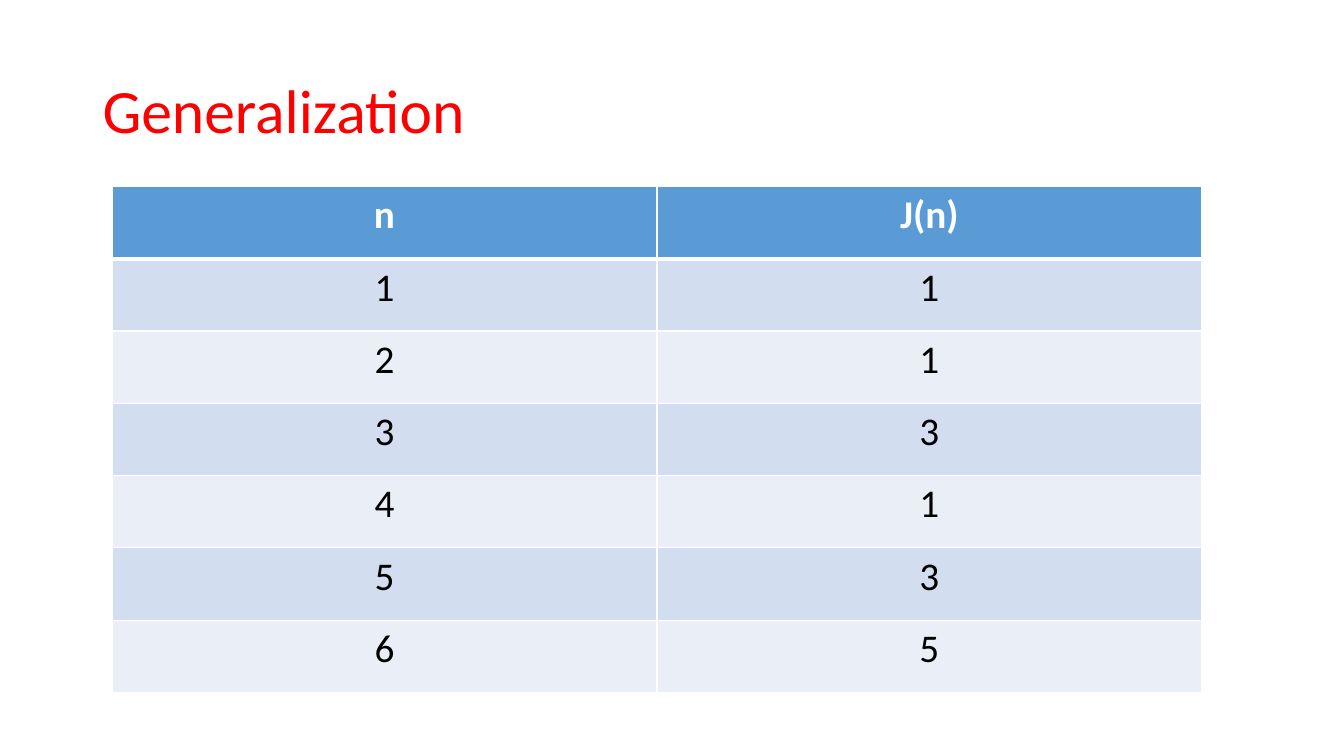
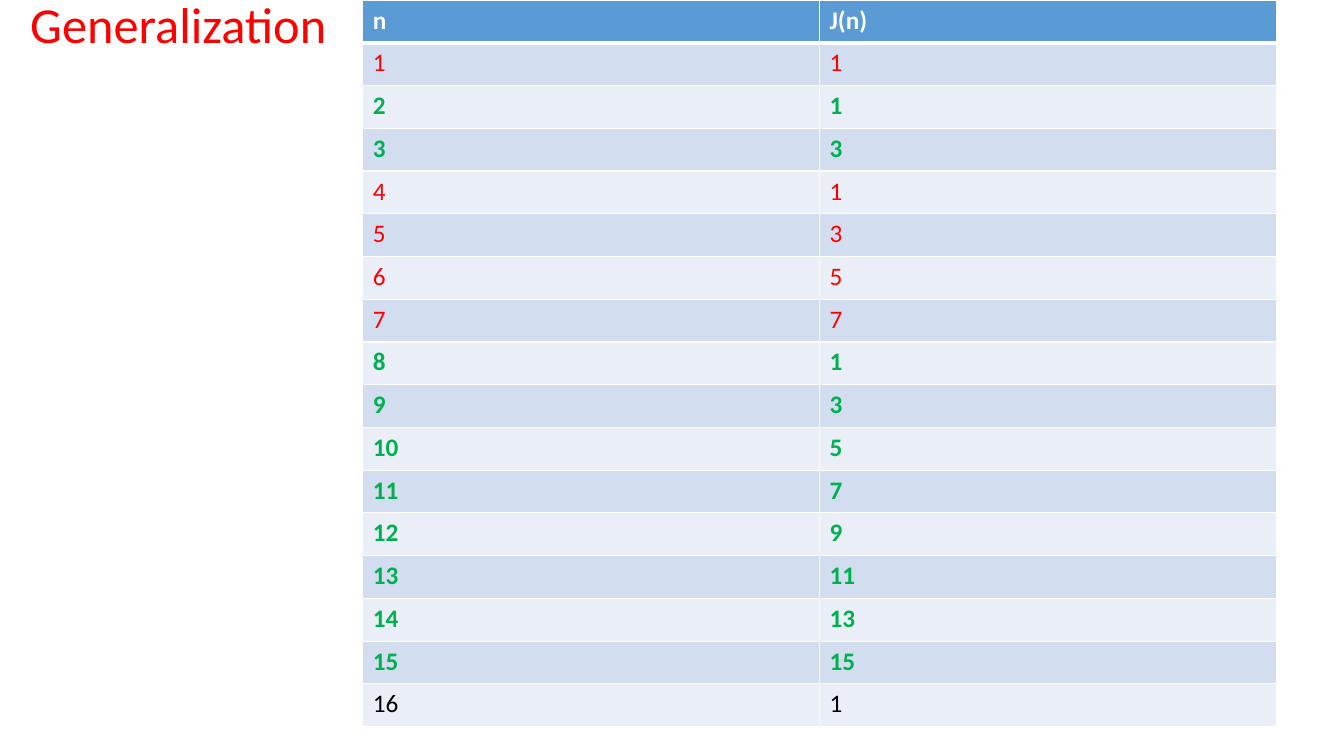
import lxml.etree
import pptx
import pptx.dml.color
import pptx.enum.text
import pptx.oxml.ns
import pptx.util

WIDTH = pptx.util.Inches(13.33)
HEIGHT = pptx.util.Inches(7.5)
FONT = "Calibri"
RED, GREEN, BLACK, WHITE = "FF0000", "00B050", "000000", "FFFFFF"
HEADER_FILL = "5B9BD5"
BAND_FILLS = ["D2DEEF", "EAEFF7"]
HEADINGS = ["n", "J(n)"]
ALIGN = pptx.enum.text.PP_ALIGN
ANCHOR = pptx.enum.text.MSO_ANCHOR


def color(hex_string):
    return pptx.dml.color.RGBColor.from_string(hex_string)


def share(left, top, width, height):
    sides = [WIDTH, HEIGHT, WIDTH, HEIGHT]
    return [round(side * percent / 100) for side, percent in zip(sides, [left, top, width, height])]


def write(frame, text, size, ink, bold=False, align=ALIGN.LEFT, spacing=1.0):
    para = frame.paragraphs[0]
    para.alignment = align
    para.line_spacing = spacing
    span = para.add_run()
    span.text = text
    span.font.name = FONT
    span.font.size = pptx.util.Pt(size)
    span.font.bold = bold
    span.font.color.rgb = color(ink)


def add_page(deck, title, area, size):
    page = deck.slides.add_slide(deck.slide_layouts[5])
    box = page.shapes.title
    box.left, box.top, box.width, box.height = share(*area)
    frame = box.text_frame
    frame.word_wrap = True
    frame.auto_size = pptx.enum.text.MSO_AUTO_SIZE.NONE
    frame.vertical_anchor = ANCHOR.MIDDLE
    write(frame, title, size, RED, spacing=0.9)
    return page


def add_borders(cell, **widths):
    properties = cell._tc.get_or_add_tcPr()
    for side in ["L", "R", "T", "B"]:
        line = lxml.etree.SubElement(properties, pptx.oxml.ns.qn(f"a:ln{side}"))
        line.set("w", str(pptx.util.Pt(widths.get(side, 1))))
        fill = lxml.etree.SubElement(line, pptx.oxml.ns.qn("a:solidFill"))
        lxml.etree.SubElement(fill, pptx.oxml.ns.qn("a:srgbClr")).set("val", WHITE)


def add_cell(cell, text, fill, borders, **text_format):
    add_borders(cell, **borders)
    cell.fill.solid()
    cell.fill.fore_color.rgb = color(fill)
    write(cell.text_frame, text, **text_format)


def survivor(count):
    return 2 * (count - 2 ** (count.bit_length() - 1)) + 1


def add_survivor_table(page, last, area, size, align=ALIGN.LEFT, group_inks=None):
    left, top, width, height = share(*area)
    table = page.shapes.add_table(last + 1, len(HEADINGS), left, top, width, height).table
    for row in table.rows:
        row.height = round(height / (last + 1))
    for column, heading in enumerate(HEADINGS):
        add_cell(table.cell(0, column), heading, HEADER_FILL, {"B": 3},
                 size=size, ink=WHITE, bold=True, align=align)
    for count in range(1, last + 1):
        ink = group_inks[count.bit_length() - 1] if group_inks else BLACK
        borders = {"T": 3} if count == 1 else {}
        for column, value in enumerate([count, survivor(count)]):
            add_cell(table.cell(count, column), str(value), BAND_FILLS[(count - 1) % 2], borders,
                     size=size, ink=ink, bold=ink == GREEN, align=align)


def main():
    deck = pptx.Presentation()
    deck.slide_width, deck.slide_height = WIDTH, HEIGHT

    page = add_page(deck, "Generalization", (6.88, 5.33, 86.25, 19.33), 44)
    add_survivor_table(page, 6, (8.33, 24.67, 81.1, 66.93), 28, align=ALIGN.CENTER)

    page = add_page(deck, "Generalization", (1.5, 0, 86.25, 7.07), 36)
    add_survivor_table(page, 16, (27, 0, 67.95, 96.13), 18,
                       group_inks=[RED, GREEN, RED, GREEN, BLACK])

    deck.save("out.pptx")


if __name__ == "__main__":
    main()
